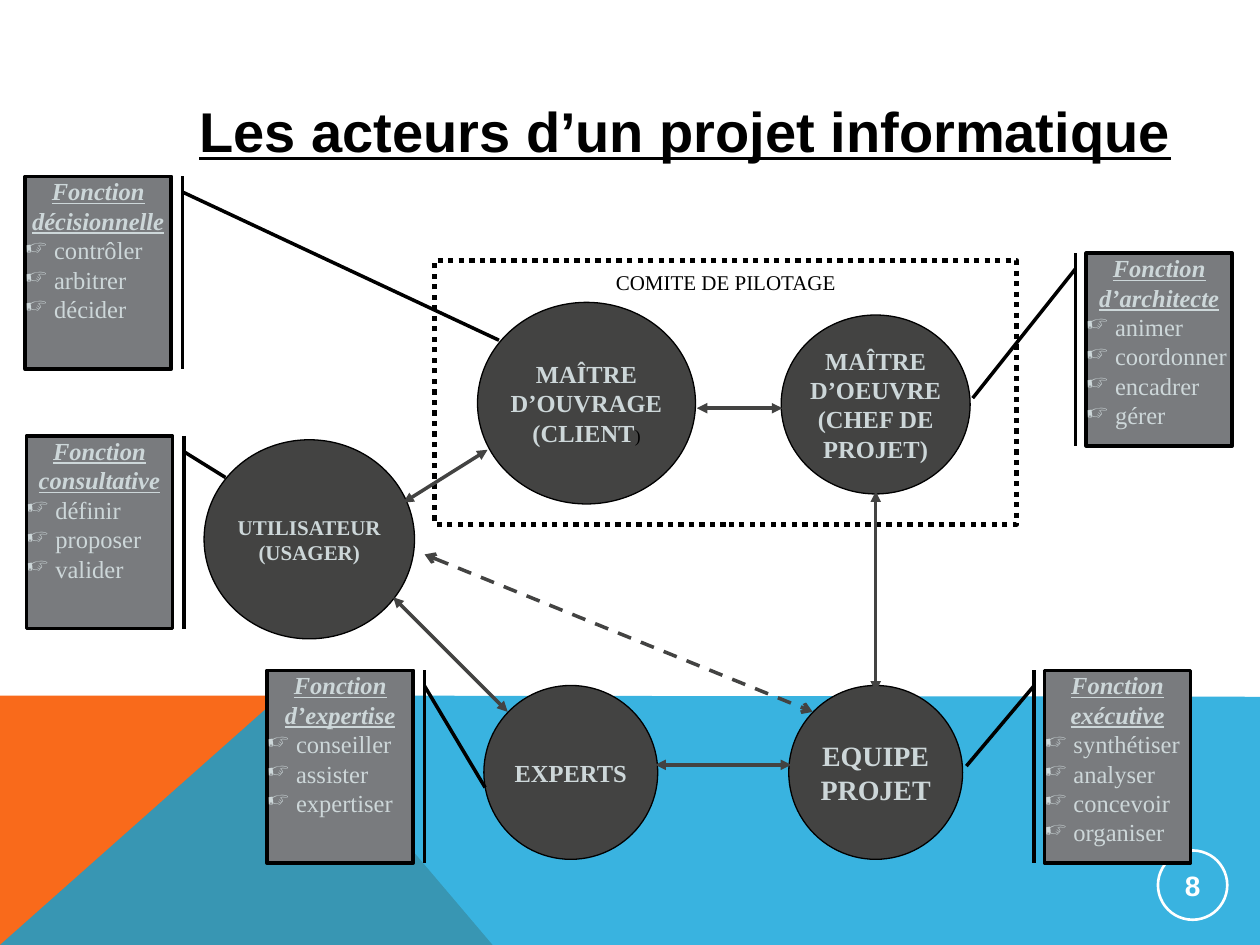
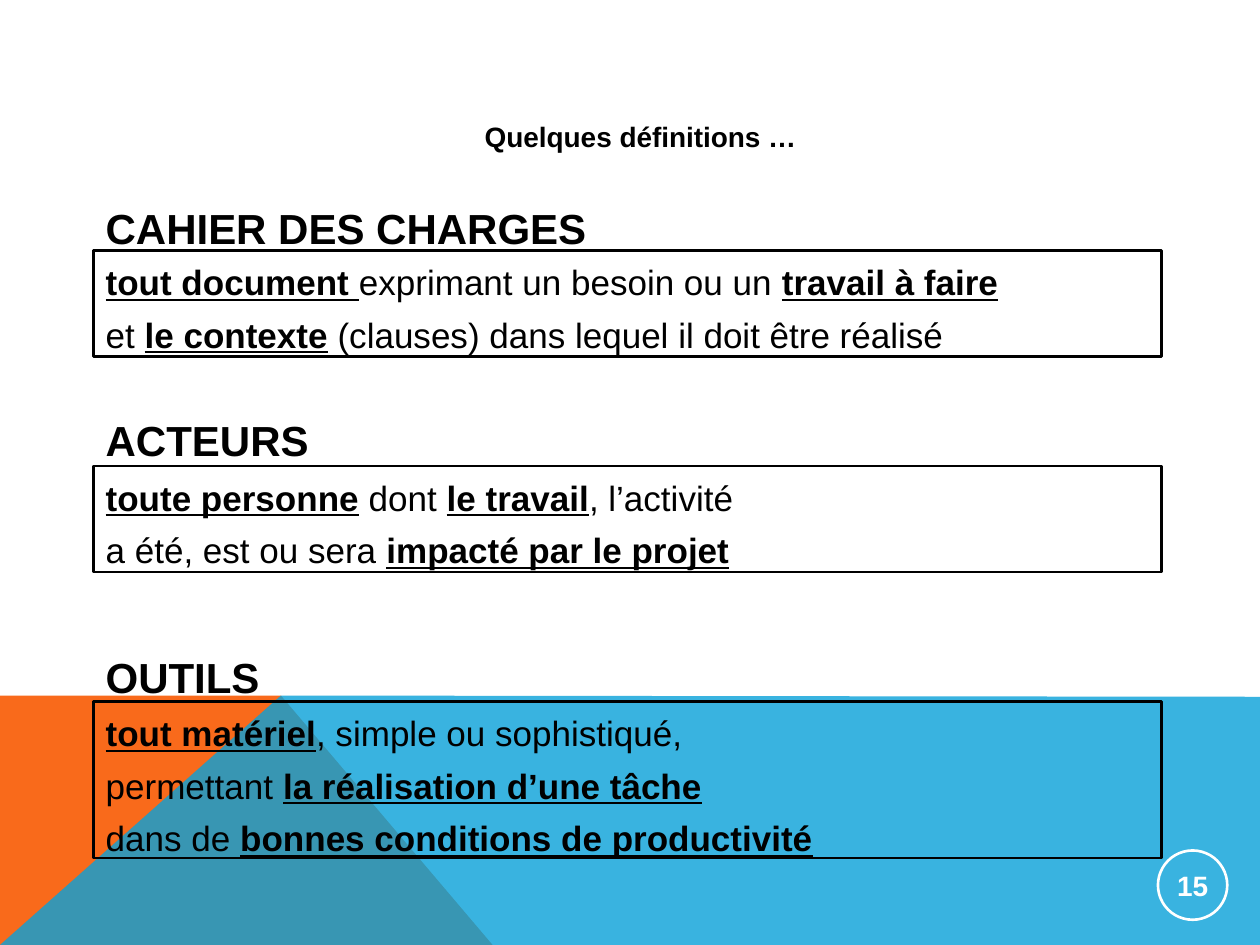
from lxml import etree
from pptx import Presentation
from pptx import util as u
from pptx.dml.color import RGBColor
from pptx.enum import dml, shapes, text
from pptx.oxml.ns import qn

# Grid: 100 columns by 75 rows over a 10 x 7.5 inch slide
WIDTH, HEIGHT = u.Inches(10), u.Inches(7.5)
COL, ROW = WIDTH / 100, HEIGHT / 75

BLACK, WHITE = "000000", "FFFFFF"
ORANGE, BLUE = "F96A1B", "08A1D9"
DARK, GREY, PALE = "434342", "797B7E", "CDD7D9"
SANS, SERIF = "Arial", "Times New Roman"

CENTER, LEFT = text.PP_ALIGN.CENTER, text.PP_ALIGN.LEFT
TOP, MIDDLE = text.MSO_ANCHOR.TOP, text.MSO_ANCHOR.MIDDLE
RECT, OVAL = shapes.MSO_SHAPE.RECTANGLE, shapes.MSO_SHAPE.OVAL

CARD_W, CARD_H = 11.6, 15.3
BAR_RIGHT, BAR_LEFT = 12.5, -0.85

# Circles: left, top, width, height, paragraphs, text size
ACTORS = [
    (37.9, 24, 17.3, 16, ["MAÎTRE D’OUVRAGE (CLIENT"], 14),
    (62, 25, 15, 14.2, ["MAÎTRE D’OEUVRE", "(CHEF DE PROJET)"], 14),
    (16.2, 34.9, 16.7, 15.8, ["UTILISATEUR (USAGER)"], 12),
    (62.6, 54.4, 13.8, 13.8, ["EQUIPE PROJET"], 16),
    (38.4, 54.4, 13.8, 13.8, ["EXPERTS"], 14),
]

# Cards: left, top, bar offset, end of the leader, title, items
ROLES = [
    (2, 14, BAR_RIGHT, (39.6, 27), "Fonction décisionnelle",
     ["contrôler", "arbitrer", "décider"]),
    (86.2, 20.1, BAR_LEFT, (77.2, 31.6), "Fonction d’architecte",
     ["animer", "coordonner", "encadrer", "gérer"]),
    (2.1, 34.6, BAR_RIGHT, (17.9, 37.9), "Fonction consultative",
     ["définir", "proposer", "valider"]),
    (82.9, 53.2, BAR_LEFT, (76.7, 60.8), "Fonction exécutive",
     ["synthétiser", "analyser", "concevoir", "organiser"]),
    (21.2, 53.2, BAR_RIGHT, (38.5, 62.5), "Fonction d’expertise",
     ["conseiller", "assister", "expertiser"]),
]

RELATIONS = [
    ((55.3, 32.4), (62.1, 32.4)),
    ((38.7, 35.7), (32, 39.9)),
    ((69.5, 39), (69.5, 54.9)),
    ((31.2, 47.4), (40.3, 56.5)),
    ((62.8, 60.7), (52, 60.7)),
]

# Definitions: heading, heading top, box top, box height, lines (*key words*)
DEFINITIONS = [
    ("CAHIER DES CHARGES", 15.6, 19.9, 8.4,
     ["*tout document *exprimant un besoin ou un *travail à faire*",
      "et *le contexte* (clauses) dans lequel il doit être réalisé"]),
    ("ACTEURS", 32.4, 37, 8.4,
     ["*toute personne* dont *le travail*, l’activité",
      "a été, est ou sera *impacté par le projet*"]),
    ("OUTILS", 51.2, 55.7, 12.4,
     ["*tout matériel*, simple ou sophistiqué,",
      "permettant *la réalisation d’une tâche*",
      "dans de *bonnes conditions de productivité*"]),
]


def rgb(value):
    return RGBColor.from_string(value)


def x(cols):
    return u.Emu(round(cols * COL))


def y(rows):
    return u.Emu(round(rows * ROW))


def paint(sp, fill=None, line=None, weight=1.0, dash=None):
    sp.shadow.inherit = False
    if fill:
        sp.fill.solid()
        sp.fill.fore_color.rgb = rgb(fill)
    else:
        sp.fill.background()
    if line:
        sp.line.color.rgb = rgb(line)
        sp.line.width = u.Pt(weight)
        if dash:
            sp.line.dash_style = dash
    else:
        sp.line.fill.background()


def box(s, shape, left, top, width, height, **style):
    sp = s.shapes.add_shape(shape, x(left), y(top), x(width), y(height))
    paint(sp, **style)
    return sp


def textbox(s, left, top, width, height):
    return s.shapes.add_textbox(x(left), y(top), x(width), y(height))


def frame(sp, anchor=TOP, side=0, top=0):
    tf = sp.text_frame
    tf.word_wrap = True
    tf.vertical_anchor = anchor
    tf.margin_left = tf.margin_right = x(side)
    tf.margin_top = tf.margin_bottom = y(top)
    return tf


def paragraph(tf, align=CENTER, before=0):
    first = not tf.paragraphs[0].runs
    p = tf.paragraphs[0] if first else tf.add_paragraph()
    p.alignment = align
    if before and not first:
        p.space_before = u.Pt(before)
    return p


def write(p, words, size, font=SANS, color=BLACK, bold=False, italic=False,
          underline=False):
    r = p.add_run()
    r.text = words
    r.font.name, r.font.size = font, u.Pt(size)
    r.font.color.rgb = rgb(color)
    r.font.bold, r.font.italic, r.font.underline = bold, italic, underline


def bullet(p, char, color, percent, indent):
    pPr = p._p.get_or_add_pPr()
    pPr.set("marL", str(x(indent)))
    pPr.set("indent", str(-x(indent)))
    clr = etree.SubElement(pPr, qn("a:buClr"))
    etree.SubElement(clr, qn("a:srgbClr"), val=color)
    etree.SubElement(pPr, qn("a:buSzPct"), val=str(percent * 1000))
    etree.SubElement(pPr, qn("a:buChar"), char=char)


def connect(s, start, end, color=BLACK, weight=2, dash=None, head=None):
    cn = s.shapes.add_connector(shapes.MSO_CONNECTOR.STRAIGHT, x(start[0]),
                                y(start[1]), x(end[0]), y(end[1]))
    cn.line.color.rgb = rgb(color)
    cn.line.width = u.Pt(weight)
    if dash:
        cn.line.dash_style = dash
    if head:
        ln = cn._element.spPr.find(qn("a:ln"))
        for tag in ("a:headEnd", "a:tailEnd"):
            etree.SubElement(ln, qn(tag), type=head)
    etree.SubElement(cn._element.spPr, qn("a:effectLst"))


def polygon(s, points, fill, opacity=100):
    corners = [(x(a), y(b)) for a, b in points]
    builder = s.shapes.build_freeform(*corners[0])
    builder.add_line_segments(corners[1:], close=True)
    sp = builder.convert_to_shape()
    paint(sp, fill)
    if opacity < 100:
        clr = sp._element.spPr.find(".//" + qn("a:srgbClr"))
        etree.SubElement(clr, qn("a:alpha"), val=str(opacity * 1000))


def new_slide(prs):
    s = prs.slides.add_slide(prs.slide_layouts[6])
    polygon(s, [(0, 75), (0, 55.2), (22.3, 55.2), (39.1, 75)], ORANGE)
    polygon(s, [(0, 75), (22.3, 55.2), (100, 55.3), (100, 75)], BLUE, 80)
    return s


def page_number(s, number):
    sp = box(s, OVAL, 91.9, 67.5, 5.5, 5.5, line=WHITE, weight=1.5)
    tf = frame(sp, MIDDLE, 0.1, 0.1)
    write(paragraph(tf), str(number), 16, color=WHITE, bold=True)


def actor(s, left, top, width, height, lines, size):
    sp = box(s, OVAL, left, top, width, height, fill=DARK, line=BLACK,
             weight=0.75)
    tf = frame(sp, MIDDLE)
    for line in lines:
        write(paragraph(tf), line, size, SERIF, PALE, bold=True)
    return tf


def role_card(s, left, top, bar, target, title, items):
    sp = box(s, RECT, left, top, CARD_W, CARD_H, fill=GREY, line=BLACK,
             weight=2)
    tf = frame(sp)
    write(paragraph(tf), title, 14, SERIF, PALE, bold=True, italic=True,
          underline=True)
    for item in items:
        p = paragraph(tf, LEFT)
        bullet(p, "☞", PALE, 90, 2.3)
        write(p, item, 14, SERIF, PALE)
    # Vertical bar and leader to the actor
    bar_x = left + bar
    connect(s, (bar_x, top), (bar_x, top + CARD_H))
    connect(s, (bar_x, top + 1.25), target)


def definition(s, heading, heading_top, top, height, lines):
    tf = frame(textbox(s, 7.4, heading_top, 45, 4.6), TOP, 1, 0.5)
    write(paragraph(tf, LEFT), heading, 24, bold=True)
    sp = box(s, RECT, 7.4, top, 84.8, height, line=BLACK, weight=1.5)
    tf = frame(sp, TOP, 1, 0.8)
    for line in lines:
        p = paragraph(tf, LEFT, before=6)
        for i, part in enumerate(line.split("*")):
            if part:
                key = i % 2 == 1
                write(p, part, 20, bold=key, underline=key)


def actors_slide(prs):
    s = new_slide(prs)
    page_number(s, 8)
    # Steering committee
    committee = box(s, RECT, 34.5, 20.7, 46.2, 20.9, line=BLACK, weight=3,
                    dash=dml.MSO_LINE.ROUND_DOT)
    tf = frame(committee, TOP, 1, 0.7)
    write(paragraph(tf), "COMITE DE PILOTAGE", 12, SERIF)
    # Actors, their functions and their relations
    frames = [actor(s, *a) for a in ACTORS]
    write(frames[0].paragraphs[0], ")", 10, SERIF)
    for start, end in RELATIONS:
        connect(s, start, end, DARK, head="triangle")
    connect(s, (33.7, 44), (64.5, 56.5), DARK, dash=dml.MSO_LINE.DASH,
            head="arrow")
    for role in ROLES:
        role_card(s, *role)
    # Title
    tf = frame(textbox(s, 11.9, 7, 85, 6.7), MIDDLE, 1, 0.5)
    write(paragraph(tf), "Les acteurs d’un projet informatique", 32,
          bold=True, underline=True)


def definitions_slide(prs):
    s = new_slide(prs)
    tf = frame(textbox(s, 7.5, 9, 86.7, 5.8), TOP, 1, 0.5)
    write(paragraph(tf), "Quelques définitions …", 16, bold=True)
    page_number(s, 15)
    for d in DEFINITIONS:
        definition(s, *d)


def main():
    prs = Presentation()
    prs.slide_width, prs.slide_height = WIDTH, HEIGHT
    actors_slide(prs)
    definitions_slide(prs)
    prs.save("out.pptx")


if __name__ == "__main__":
    main()
